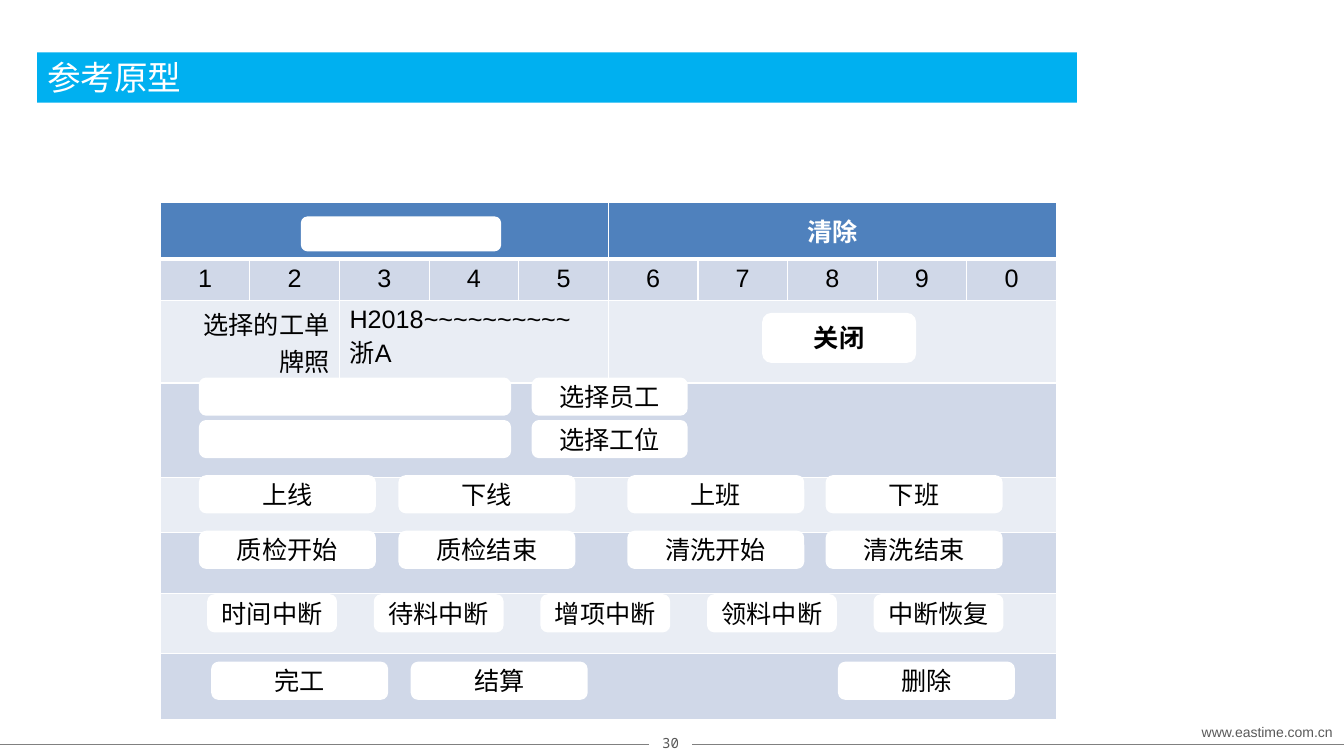
"""Build the work-order terminal prototype slide."""
import pptx
import pptx.util
import pptx.dml.color
import pptx.enum.shapes
import pptx.enum.text
import pptx.oxml.ns
from lxml import etree

Cm = pptx.util.Cm
Pt = pptx.util.Pt
RGBColor = pptx.dml.color.RGBColor
Shape = pptx.enum.shapes.MSO_SHAPE
Align = pptx.enum.text.PP_ALIGN
Anchor = pptx.enum.text.MSO_ANCHOR
qn = pptx.oxml.ns.qn

WHITE = RGBColor(0xFF, 0xFF, 0xFF)
BLACK = RGBColor(0, 0, 0)
GRAY = RGBColor(0x59, 0x59, 0x59)
RULE = RGBColor(0x80, 0x80, 0x80)
CYAN = RGBColor(0x00, 0xB0, 0xF0)
HEADER = RGBColor(0x4F, 0x81, 0xBD)
BAND_DARK = RGBColor(0xD0, 0xD8, 0xE8)
BAND_LIGHT = RGBColor(0xE9, 0xED, 0xF4)
CJK = "Noto Sans CJK SC"

BODY = {"name": "Arial", "size": Pt(18), "bold": False}
BOLD = BODY | {"bold": True}
TITLE = BODY | {"name": CJK, "size": Pt(24)}
FOOTER = BODY | {"size": Pt(10)}
PAGE_NUMBER = FOOTER | {"name": "Noto Sans Mono"}
BUTTON_FRAME = {"margin_left": 0, "margin_right": 0, "margin_top": 0, "margin_bottom": 0,
                "vertical_anchor": Anchor.MIDDLE, "word_wrap": True}

TITLE_TEXT = "参考原型"
FOOTERS = [
    ("30", (16.36, 18.39, 1.09, 0.69), PAGE_NUMBER),
    ("www.eastime.com.cn", (29.95, 18.11, 3.99, 0.69), FOOTER),
]
FOOTER_RULES = [(17.45, 33.88), (0, 16.36)]
RULE_TOP = 18.75

TABLE_LEFT, TABLE_TOP, COLUMN_WIDTH, COLUMNS = 4.04, 5.11, 2.26, 10
ROW_HEIGHTS = [1.42, 1.04, 2.08, 2.39, 1.37, 1.55, 1.5, 1.68]
SPANS = [[5, 5], [1] * 10, [2, 3, 5], [10], [10], [10], [10], [10]]
CELL_TEXTS = [(0, 5, ["清除"], Align.CENTER, WHITE, BOLD)]
CELL_TEXTS += [(1, column, [digit], Align.CENTER, BLACK, BODY) for column, digit in enumerate("1234567890")]
CELL_TEXTS += [
    (2, 0, ["选择的工单", "牌照"], Align.RIGHT, BLACK, BODY),
    (2, 2, ["H2018~~~~~~~~~~", "浙A"], Align.LEFT, BLACK, BODY),
]

BUTTON_HEIGHT = 0.89
WIDE, NARROW = 4.39, 3.2
ACTION_LEFTS = [5.05, 10.08, 15.85, 20.85]
INTERRUPT_LEFTS = [5.26 + 4.2 * index for index in range(5)]
BUTTON_ROWS = [
    (12.01, WIDE, ACTION_LEFTS, ["上线", "下线", "上班", "下班"]),
    (13.41, WIDE, ACTION_LEFTS, ["质检开始", "质检结束", "清洗开始", "清洗结束"]),
    (15.01, NARROW, INTERRUPT_LEFTS, ["时间中断", "待料中断", "增项中断", "领料中断", "中断恢复"]),
    (16.71, WIDE, [5.36, 10.39, 21.16], ["完工", "结算", "删除"]),
]
SELECTORS = [(9.55, "选择员工"), (10.62, "选择工位")]


def set_format(target, values):
    for name, value in values.items():
        setattr(target, name, value)


def write(frame, lines, align, color, style):
    for index, line in enumerate(lines):
        para = frame.add_paragraph() if index else frame.paragraphs[0]
        para.alignment = align
        span = para.add_run()
        span.text = line
        set_format(span.font, style)
        span.font.color.rgb = color
        etree.SubElement(span.font._element, qn("a:ea"), typeface=CJK)


def add_panel(page, kind, place, fill):
    panel = page.shapes.add_shape(kind, *map(Cm, place))
    panel.shadow.inherit = False
    panel.fill.solid()
    panel.fill.fore_color.rgb = fill
    panel.line.fill.background()
    return panel


def add_button(page, place, text="", style=BODY):
    button = add_panel(page, Shape.ROUNDED_RECTANGLE, place, WHITE)
    button.line.color.rgb = WHITE
    button.line.width = Pt(2)
    set_format(button.text_frame, BUTTON_FRAME)
    if text:
        write(button.text_frame, [text], Align.CENTER, BLACK, style)


def add_borders(cell, row):
    widths = {"L": 1, "R": 1, "T": 3 if row == 1 else 1, "B": 3 if row == 0 else 1}
    properties = cell._tc.get_or_add_tcPr()
    for index, (side, width) in enumerate(widths.items()):
        line = etree.Element(qn("a:ln" + side), w=str(Pt(width)))
        fill = etree.SubElement(line, qn("a:solidFill"))
        etree.SubElement(fill, qn("a:srgbClr"), val=str(WHITE))
        properties.insert(index, line)


def add_terminal_table(page):
    table = page.shapes.add_table(
        len(ROW_HEIGHTS), COLUMNS, Cm(TABLE_LEFT), Cm(TABLE_TOP),
        Cm(COLUMN_WIDTH * COLUMNS), Cm(sum(ROW_HEIGHTS))).table
    set_format(table, {"first_row": False, "horz_banding": False})
    for column in table.columns:
        column.width = Cm(COLUMN_WIDTH)
    for row, (height, spans) in enumerate(zip(ROW_HEIGHTS, SPANS)):
        table.rows[row].height = Cm(height)
        for column in range(COLUMNS):
            cell = table.cell(row, column)
            cell.fill.solid()
            cell.fill.fore_color.rgb = HEADER if row == 0 else BAND_DARK if row % 2 else BAND_LIGHT
            add_borders(cell, row)
        start = 0
        for span in spans:
            if span > 1:
                table.cell(row, start).merge(table.cell(row, start + span - 1))
            start += span
    for row, column, lines, align, color, style in CELL_TEXTS:
        write(table.cell(row, column).text_frame, lines, align, color, style)
    table.cell(0, 5).vertical_anchor = Anchor.MIDDLE


def add_footer(page):
    for start, end in FOOTER_RULES:
        rule = page.shapes.add_connector(
            pptx.enum.shapes.MSO_CONNECTOR.STRAIGHT, Cm(start), Cm(RULE_TOP), Cm(end), Cm(RULE_TOP))
        rule.line.color.rgb = RULE
        rule.line.width = Pt(0.25)
        etree.SubElement(rule._element.spPr, qn("a:effectLst"))
    for text, place, style in FOOTERS:
        box = page.shapes.add_textbox(*map(Cm, place))
        box.text_frame.word_wrap = True
        write(box.text_frame, [text], Align.CENTER, GRAY, style)


def add_buttons(page):
    add_button(page, (7.62, 5.49, 4.98, 0.81))
    add_button(page, (19.25, 7.92, 3.81, 1.19), "关闭", BOLD)
    for top, text in SELECTORS:
        add_button(page, (5.05, top, 7.8, BUTTON_HEIGHT))
        add_button(page, (13.44, top, 3.86, BUTTON_HEIGHT), text)
    for top, width, lefts, texts in BUTTON_ROWS:
        for left, text in zip(lefts, texts):
            add_button(page, (left, top, width, BUTTON_HEIGHT), text)


def main():
    deck = pptx.Presentation()
    set_format(deck, {"slide_width": Cm(33.88), "slide_height": Cm(19.05)})
    page = deck.slides.add_slide(deck.slide_layouts[6])
    add_footer(page)
    title = add_panel(page, Shape.CHEVRON, (0.94, 1.32, 26.21, 1.27), CYAN)
    title.adjustments[0] = 0
    title.text_frame.vertical_anchor = Anchor.MIDDLE
    write(title.text_frame, [TITLE_TEXT], Align.LEFT, WHITE, TITLE)
    add_terminal_table(page)
    add_buttons(page)
    deck.save("out.pptx")


if __name__ == "__main__":
    main()
